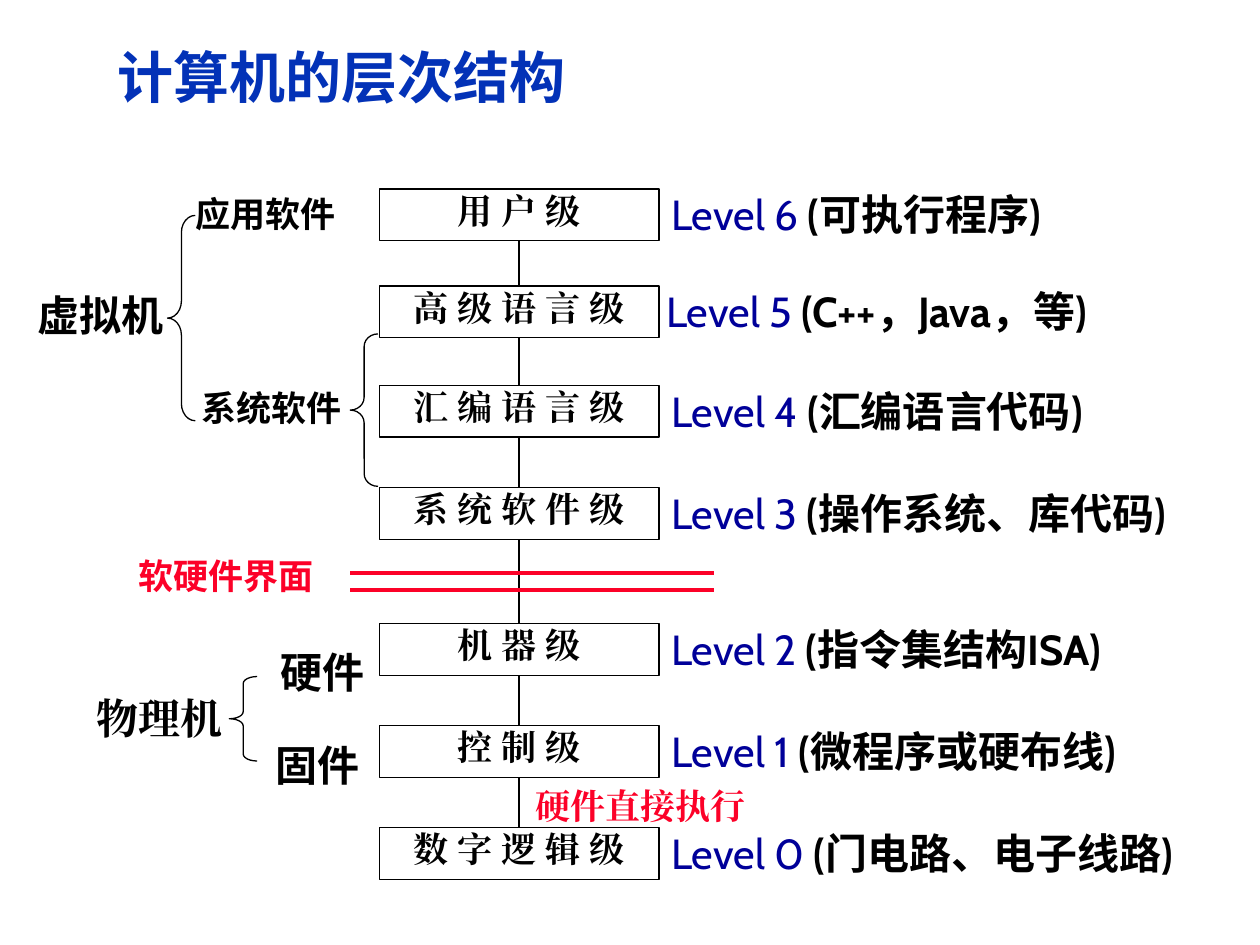
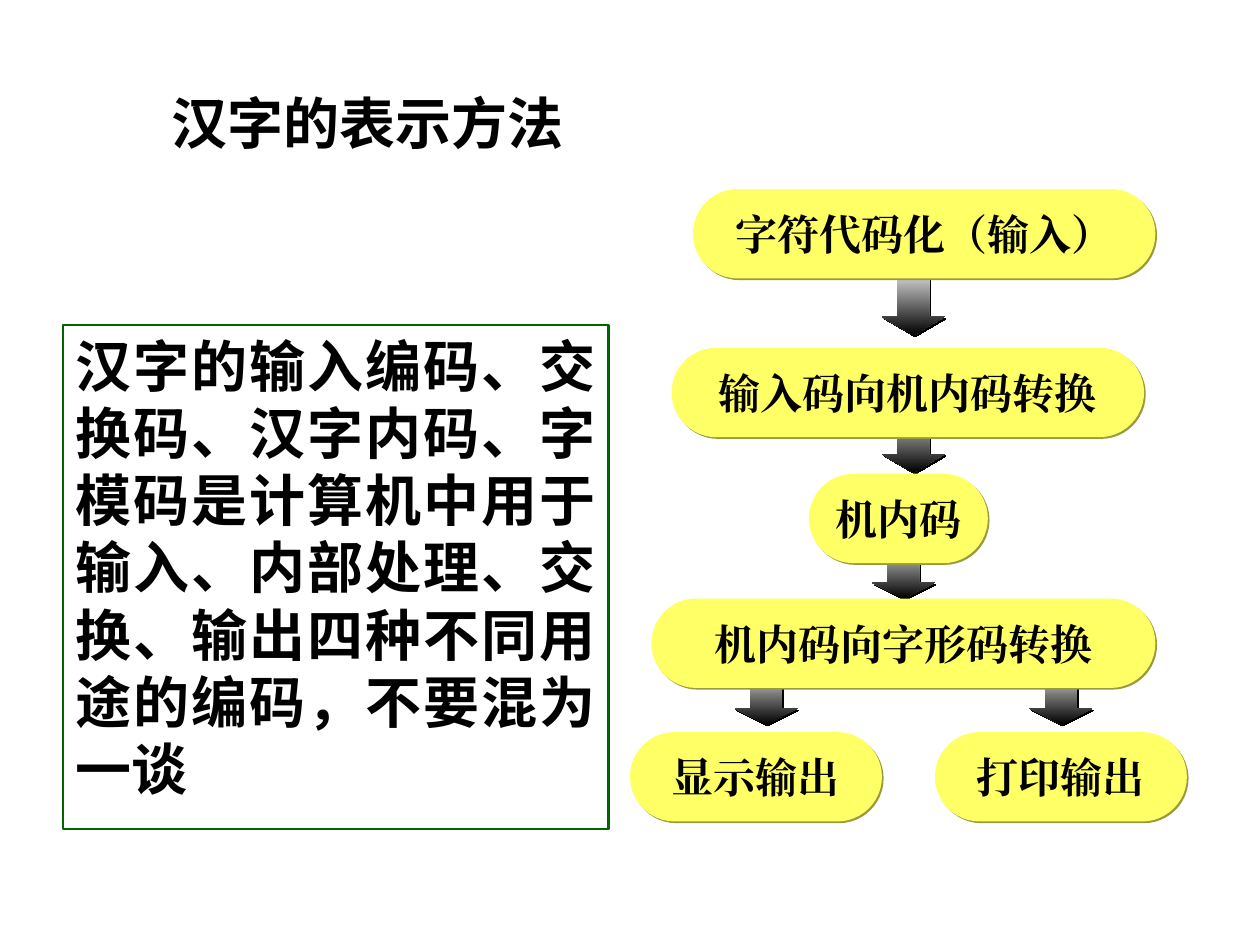
import pptx
import pptx.util
import pptx.dml.color
import pptx.enum.shapes
import pptx.enum.text
import pptx.oxml
import pptx.oxml.ns
from pptx.util import Inches

INK = {"black": "000000", "white": "FFFFFF", "title": "0332B7", "red": "FC0128",
       "navy": "000099", "green": "006600", "yellow": "FFFF66", "olive": "99993D"}
HAN = "Noto Sans CJK SC"
SERIF = "Times New Roman"
SANS = "Arial"
LABEL = "Cabin"
KIND = pptx.enum.shapes.MSO_SHAPE
ALIGN = pptx.enum.text.PP_ALIGN
ANCHOR = pptx.enum.text.MSO_ANCHOR

LEVELS = [
    (1.5, "用 户 级", "(可执行程序)", 5.23),
    (2.27, "高 级 语 言 级", "(C++，Java，等)", 5.19),
    (3.06, "汇 编 语 言 级", "(汇编语言代码)", 5.23),
    (3.87, "系 统 软 件 级", "(操作系统、库代码)", 5.23),
    (4.95, "机 器 级", "(指令集结构ISA)", 5.23),
    (5.76, "控 制 级", "(微程序或硬布线)", 5.23),
    (6.57, "数 字 逻 辑 级", "(门电路、电子线路)", 5.23),
]
BOX_X, BOX_W, BOX_H = 3.01, 2.22, 0.41
NOTES = [
    (1.45, 1.48, 1.47, "应用软件", 20, HAN, "black"),
    (1.5, 3.02, 1.45, "系统软件", 20, HAN, "black"),
    (1, 4.35, 2.24, "软硬件界面", 20, HAN, "red"),
    (0.67, 5.45, 1.34, "物理机", 24, SERIF, "black"),
    (0.2, 2.25, 1.38, "虚拟机", 24, LABEL, "black"),
    (2.13, 5.08, 0.91, "硬件", 24, LABEL, "black"),
    (2.09, 5.82, 0.94, "固件", 24, LABEL, "black"),
    (4.15, 6.18, 2.16, "硬件直接执行", 20, SERIF, "red"),
]
BRACES = [(1.33, 1.71, 1.63), (2.78, 2.65, 1.21), (1.82, 5.37, 0.67)]
STEPS = [
    (5, 5.81, 2, "显示输出"),
    (7.42, 5.81, 2, "打印输出"),
    (5.17, 4.75, 4, "机内码向字形码转换"),
    (6.42, 3.76, 1.42, "机内码"),
    (5.33, 2.76, 3.75, "输入码向机内码转换"),
    (5.5, 1.5, 3.67, "字符代码化（输入）"),
]
ARROWS = [(5.83, 5.25, 0.5), (8.17, 5.25, 0.5), (6.92, 4.25, 0.5),
          (7, 3.17, 0.58), (7, 2.08, 0.58)]


def tint(name):
    """Return a named colour."""
    return pptx.dml.color.RGBColor.from_string(INK[name])


def write(para, text, size, face, color="black", bold=True):
    """Add one run with its Latin and East Asian fonts."""
    run = para.add_run()
    run.text = text
    font = run.font
    font.size, font.bold, font.name = pptx.util.Pt(size), bold, face
    font.color.rgb = tint(color)
    east = pptx.oxml.parse_xml(
        f'<a:ea {pptx.oxml.ns.nsdecls("a")} typeface="{face}"/>')
    font._element.find(pptx.oxml.ns.qn("a:latin")).addnext(east)


def frame(shape, align, anchor=ANCHOR.TOP, pad=0.05):
    """Set up a wrapped text frame and return its first paragraph."""
    body = shape.text_frame
    body.word_wrap = True
    body.vertical_anchor = anchor
    body.margin_left = body.margin_right = Inches(0.1)
    body.margin_top = body.margin_bottom = Inches(pad)
    para = body.paragraphs[0]
    para.alignment = align
    return para


def start(deck, text, place, face, color):
    """Add a title-only slide and format its title."""
    slide = deck.slides.add_slide(deck.slide_layouts[5])
    title = slide.shapes.title
    title.left, title.top, title.width, title.height = map(Inches, place)
    para = frame(title, ALIGN.LEFT, ANCHOR.MIDDLE)
    para.line_spacing = 0.9
    write(para, text, 32, face, color)
    return slide


def draw(slide, kind, place, line=None, width=0.75):
    """Add an unfilled preset shape without a shadow."""
    shape = slide.shapes.add_shape(kind, *map(Inches, place))
    shape.shadow.inherit = False
    shape.fill.background()
    if line:
        shape.line.color.rgb = tint(line)
        shape.line.width = pptx.util.Pt(width)
    else:
        shape.line.fill.background()
    return shape


def link(slide, x1, y1, x2, y2, color="black", width=0.75):
    """Add a straight line."""
    line = slide.shapes.add_connector(
        pptx.enum.shapes.MSO_CONNECTOR.STRAIGHT, *map(Inches, (x1, y1, x2, y2)))
    line.line.color.rgb = tint(color)
    line.line.width = pptx.util.Pt(width)
    line._element.spPr.append(
        pptx.oxml.parse_xml(f'<a:effectLst {pptx.oxml.ns.nsdecls("a")}/>'))


def label(slide, x, y, w, align=ALIGN.LEFT):
    """Add a text box and return its paragraph."""
    box = slide.shapes.add_textbox(*map(Inches, (x, y, w, 0.5)))
    return frame(box, align)


def shade(shape, color):
    """Give a shape a thin hard shadow at its lower right."""
    drop = pptx.oxml.parse_xml(
        f'<a:outerShdw {pptx.oxml.ns.nsdecls("a")} dist="17780" dir="2700000" '
        f'algn="ctr" rotWithShape="0"><a:srgbClr val="{INK[color]}"/></a:outerShdw>')
    shape._element.spPr.find(pptx.oxml.ns.qn("a:effectLst")).append(drop)


def brace(slide, x, y, h):
    """Add a left brace whose curves take a twelfth of its height."""
    shape = draw(slide, KIND.LEFT_BRACE, (x, y, 0.22, h), "black")
    shape.adjustments[0] = h / 12 / 0.22


def arrow(slide, x, y, h):
    """Add a down arrow that fades from white to black."""
    shape = draw(slide, KIND.DOWN_ARROW, (x, y, 0.5, h))
    shape.adjustments[1] = h / 4 / 0.5
    shape.fill.gradient()
    shape.fill.gradient_angle = 270
    for stop, spot, name in zip(shape.fill.gradient_stops, (0, 1), ("white", "black")):
        stop.position = spot
        stop.color.rgb = tint(name)
    shade(shape, "black")


def pill(slide, x, y, w, text):
    """Add a yellow step with round ends."""
    shape = draw(slide, KIND.ROUNDED_RECTANGLE, (x, y, w, 0.71))
    shape.adjustments[0] = 0.5
    shape.fill.solid()
    shape.fill.fore_color.rgb = tint("yellow")
    shade(shape, "olive")
    write(frame(shape, ALIGN.CENTER, ANCHOR.MIDDLE), text, 24, SERIF)


def layers(deck):
    """Build the slide on the levels of a computer."""
    slide = start(deck, "计算机的层次结构", (0.83, 0.28, 8.24, 0.71), SANS, "title")
    for rank, (top, name, note, x) in zip(range(6, -1, -1), LEVELS):
        box = draw(slide, KIND.RECTANGLE, (BOX_X, top, BOX_W, BOX_H), "black")
        write(frame(box, ALIGN.CENTER, pad=0), name, 20, SERIF)
        para = label(slide, x, top - 0.05, 4.6)
        write(para, f"Level {rank} ", 24, LABEL, "navy", False)
        write(para, note, 24, LABEL)
    mid = BOX_X + BOX_W / 2
    for upper, lower in zip(LEVELS, LEVELS[1:]):
        link(slide, mid, upper[0] + BOX_H, mid, lower[0])
    for y in (4.55, 4.68):
        link(slide, 2.78, y, 5.67, y, "red", 2.25)
    for place in BRACES:
        brace(slide, *place)
    for x, y, w, text, size, face, color in NOTES:
        write(label(slide, x, y, w), text, size, face, color)


def codes(deck):
    """Build the slide on the coding of Chinese characters."""
    slide = start(deck, "汉字的表示方法", (1.26, 0.67, 3.99, 0.66), HAN, "black")
    box = draw(slide, KIND.RECTANGLE, (0.5, 2.58, 4.33, 4), "green", 1.5)
    write(frame(box, ALIGN.JUSTIFY),
          "汉字的输入编码、交换码、汉字内码、字模码是计算机中用于输入、"
          "内部处理、交换、输出四种不同用途的编码，不要混为一谈", 32, SANS)
    for place in ARROWS:
        arrow(slide, *place)
    for step in STEPS:
        pill(slide, *step)


def main():
    """Build and save the deck."""
    deck = pptx.Presentation()
    deck.slide_width, deck.slide_height = Inches(10), Inches(7.5)
    layers(deck)
    codes(deck)
    deck.save("out.pptx")


if __name__ == "__main__":
    main()
